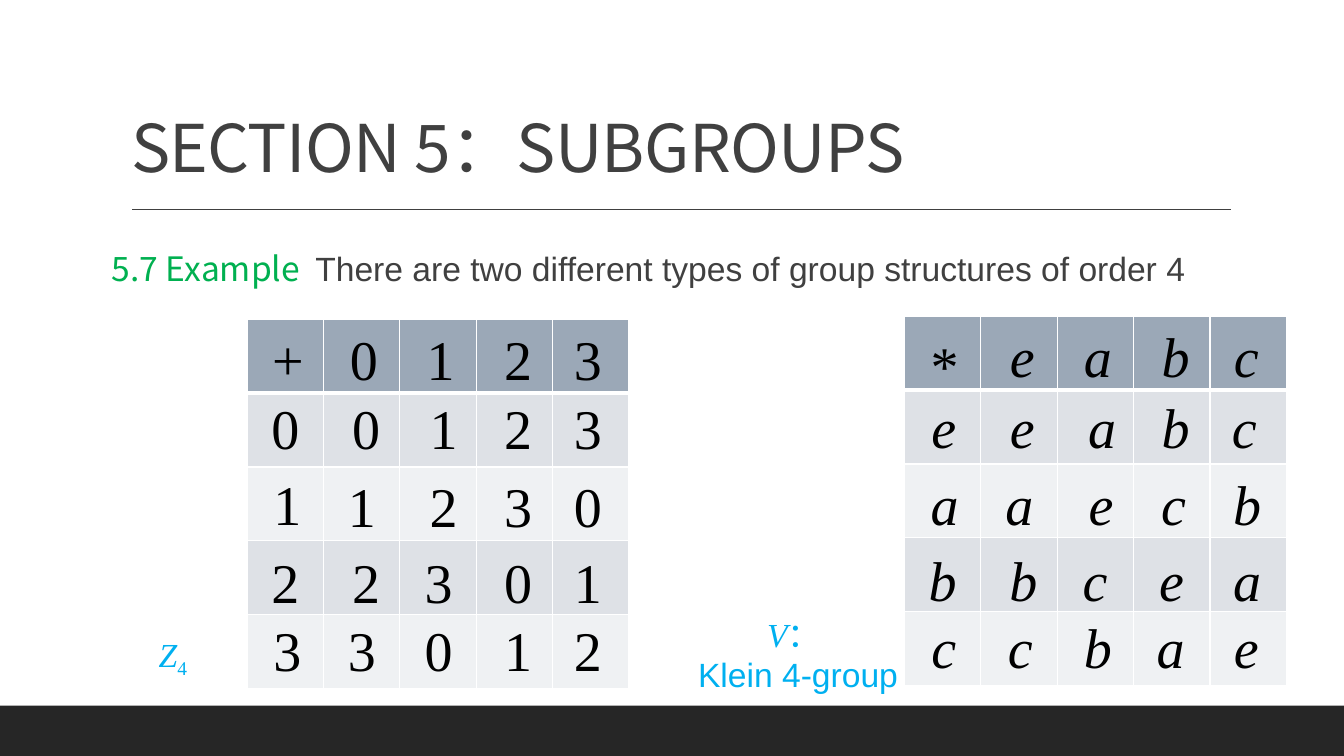
from dataclasses import dataclass

from lxml import etree
from pptx import Presentation
from pptx.dml.color import RGBColor
from pptx.enum.shapes import MSO_CONNECTOR, MSO_SHAPE
from pptx.enum.text import MSO_ANCHOR, MSO_AUTO_SIZE, PP_ALIGN
from pptx.oxml.ns import qn
from pptx.util import Pt

RECTANGLE = MSO_SHAPE.RECTANGLE
STRAIGHT = MSO_CONNECTOR.STRAIGHT
TOP, BOTTOM = MSO_ANCHOR.TOP, MSO_ANCHOR.BOTTOM
LEFT, CENTER = PP_ALIGN.LEFT, PP_ALIGN.CENTER
FIXED_SIZE, GROW = MSO_AUTO_SIZE.NONE, MSO_AUTO_SIZE.SHAPE_TO_FIT_TEXT

EMU_PER_PX = 9144
SLIDE_WIDTH, SLIDE_HEIGHT = 1333, 750
TITLE_ONLY_LAYOUT = 5
GRID_SIZE = 5
GRID_WIDTH, GRID_HEIGHT = 379, 366
SYMBOL_WIDTH, SYMBOL_HEIGHT = 48, 77


@dataclass(frozen=True)
class Theme:
    heading_font: str = "Noto Sans CJK SC"
    body_font: str = "Arial"
    math_font: str = "Times New Roman"
    title_size: int = 47
    body_size: int = 24
    symbol_size: int = 40
    dark: str = "404040"
    bar: str = "262626"
    example: str = "00B050"
    label: str = "00B0F0"
    symbol: str = "000000"
    border: str = "FFFFFF"
    header_fill: str = "9BA8B7"
    band_fills: tuple = ("DEE1E6", "EFF1F3")


# Each row: top of its first symbol, top of the others, symbols, their centres.
Z4_ROWS = [
    (317, 317, "+0123", (284, 361, 437, 514, 583)),
    (386, 386, "00123", (283, 363, 440, 514, 583)),
    (461, 463, "11230", (285, 359, 440, 514, 583)),
    (538, 538, "22301", (283, 363, 435, 514, 583)),
    (606, 606, "33012", (285, 359, 435, 514, 583)),
]
KLEIN_ROWS = [
    (323, 314, "*eabc", (937, 1014, 1089, 1166, 1236)),
    (384, 384, "eeabc", (936, 1014, 1093, 1166, 1234)),
    (461, 461, "aaecb", (937, 1011, 1092, 1164, 1237)),
    (536, 536, "bbcea", (935, 1015, 1086, 1162, 1237)),
    (603, 603, "ccbae", (936, 1012, 1089, 1161, 1236)),
]


def px(length):
    return round(length * EMU_PER_PX)


def style_font(font, name, size, color, italic=False):
    font.name, font.size, font.italic = name, Pt(size), italic
    font.color.rgb = RGBColor.from_string(color)


def set_run_property(run, name, value):
    run.font._element.set(name, str(value))


def set_cell_border(cell, side, color, width):
    line = etree.SubElement(cell._tc.get_or_add_tcPr(), qn(f"a:ln{side}"), w=str(Pt(width)))
    fill = etree.SubElement(line, qn("a:solidFill"))
    etree.SubElement(fill, qn("a:srgbClr"), val=color)


class SlideBuilder:
    def __init__(self, slide, theme):
        self.slide = slide
        self.theme = theme

    def bar(self, left, top, width, height):
        shape = self.slide.shapes.add_shape(RECTANGLE, px(left), px(top), px(width), px(height))
        shape.shadow.inherit = False
        shape.fill.solid()
        shape.fill.fore_color.rgb = RGBColor.from_string(self.theme.bar)
        shape.line.fill.background()

    def rule(self, left, right, y):
        line = self.slide.shapes.add_connector(STRAIGHT, px(left), px(y), px(right), px(y))
        line.line.color.rgb = RGBColor.from_string(self.theme.dark)
        line.line.width = Pt(1)
        etree.SubElement(line._element.spPr, qn("a:effectLst"))

    def title(self, text, left, top, width, height):
        theme, title = self.theme, self.slide.shapes.title
        title.left, title.top, title.width, title.height = map(px, (left, top, width, height))
        frame = title.text_frame
        frame.text = text
        frame.auto_size, frame.vertical_anchor = FIXED_SIZE, BOTTOM
        paragraph = frame.paragraphs[0]
        paragraph.alignment, paragraph.line_spacing = LEFT, 0.9
        style_font(paragraph.font, theme.heading_font, theme.title_size, theme.dark)
        set_run_property(paragraph.runs[0], "spc", -50)

    def text_box(self, left, top, width, height, wrap=False):
        frame = self.slide.shapes.add_textbox(px(left), px(top), px(width), px(height)).text_frame
        frame.word_wrap, frame.vertical_anchor = wrap, TOP
        frame.auto_size = FIXED_SIZE if wrap else GROW
        frame.paragraphs[0].alignment = LEFT if wrap else CENTER
        return frame

    def run(self, paragraph, text, font, color, italic=False):
        run = paragraph.add_run()
        run.text = text
        style_font(run.font, font, self.theme.body_size, color, italic)
        return run

    def example(self, heading, statement, left, top, width, height):
        theme = self.theme
        frame = self.text_box(left, top, width, height, wrap=True)
        frame.margin_left = frame.margin_right = 0
        paragraph = frame.paragraphs[0]
        paragraph.line_spacing = 1.1
        paragraph.space_before, paragraph.space_after = Pt(12), Pt(2)
        self.run(paragraph, heading, theme.heading_font, theme.example)
        gap = self.run(paragraph, " ", theme.heading_font, theme.example)
        set_run_property(gap, "spc", 550)
        self.run(paragraph, statement, theme.body_font, theme.dark)

    def grid(self, left, top):
        theme = self.theme
        table = self.slide.shapes.add_table(
            GRID_SIZE, GRID_SIZE, px(left), px(top), px(GRID_WIDTH), px(GRID_HEIGHT)).table
        table.horz_banding = False
        for row_index, row in enumerate(table.rows):
            color = theme.band_fills[(row_index - 1) % 2] if row_index else theme.header_fill
            for cell in row.cells:
                for side in "LRTB":
                    header_edge = (row_index, side) in ((0, "B"), (1, "T"))
                    set_cell_border(cell, side, theme.border, 3 if header_edge else 1)
                cell.fill.solid()
                cell.fill.fore_color.rgb = RGBColor.from_string(color)

    def symbols(self, rows, italic=False):
        theme = self.theme
        for first_top, top, symbols, centers in rows:
            for index, (symbol, center) in enumerate(zip(symbols, centers)):
                frame = self.text_box(center - SYMBOL_WIDTH // 2, top if index else first_top,
                                      SYMBOL_WIDTH, SYMBOL_HEIGHT)
                frame.text = symbol
                paragraph = frame.paragraphs[0]
                paragraph.alignment = CENTER
                style_font(paragraph.font, theme.math_font, theme.symbol_size,
                           theme.symbol, italic and symbol.isalpha())

    def group_label(self, letter, left, top, width, height, suffix, subscript=False, caption=None):
        theme = self.theme
        frame = self.text_box(left, top, width, height)
        paragraph = frame.paragraphs[0]
        self.run(paragraph, letter, theme.math_font, theme.label, italic=True)
        run = self.run(paragraph, suffix, theme.math_font, theme.label)
        if subscript:
            set_run_property(run, "baseline", -25000)
        if caption:
            paragraph = frame.add_paragraph()
            paragraph.text, paragraph.alignment = caption, CENTER
            style_font(paragraph.font, theme.body_font, theme.body_size, theme.label)


def main():
    presentation = Presentation()
    presentation.slide_width, presentation.slide_height = px(SLIDE_WIDTH), px(SLIDE_HEIGHT)
    slide = presentation.slides.add_slide(presentation.slide_layouts[TITLE_ONLY_LAYOUT])
    builder = SlideBuilder(slide, Theme())
    builder.bar(0, 700, SLIDE_WIDTH, 50)
    builder.rule(131, 1221, 208)
    builder.title("SECTION 5：SUBGROUPS", 120, 31, 1100, 159)
    builder.example("5.7 Example", "There are two different types of group structures of order 4",
                    111, 237, 1100, 108)
    builder.grid(897, 314)
    builder.symbols(KLEIN_ROWS, italic=True)
    builder.grid(245, 317)
    builder.symbols(Z4_ROWS)
    builder.group_label("Z", 147, 624, 49, 50, "4", subscript=True)
    builder.group_label("V", 673, 604, 237, 91, "： ", caption="Klein 4-group")
    presentation.save("out.pptx")


if __name__ == "__main__":
    main()
